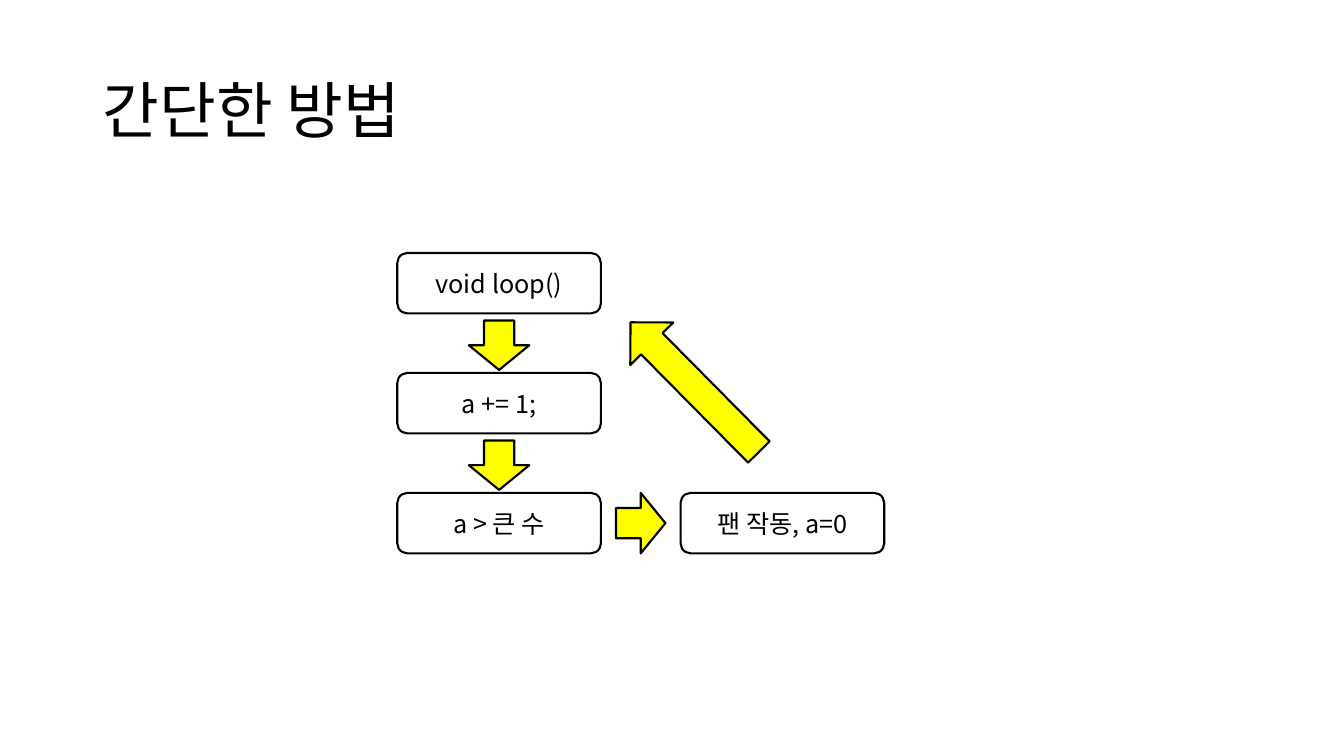
from dataclasses import dataclass

from lxml import etree
from pptx import Presentation
from pptx import util as u
from pptx.dml.color import RGBColor
from pptx.enum import shapes, text
from pptx.oxml.ns import qn

FONT = "Noto Sans CJK KR"
BLACK, WHITE, YELLOW = "000000", "FFFFFF", "FFFF00"
BOX_W, BOX_H = 2.02, 0.6
ARROW_L = 0.49
COL_X, COL_STEP = 3.94, 2.81
ROW_Y, ROW_STEP = 2.51, 1.19


@dataclass
class Step:
    label: str
    col: int
    row: int


@dataclass
class Arrow:
    cx: float
    cy: float
    length: float = ARROW_L
    angle: float = 0


def color(value: str) -> RGBColor:
    return RGBColor.from_string(value)


def format_text(tf, size: float, align) -> None:
    p = tf.paragraphs[0]
    p.alignment = align
    tf.vertical_anchor = text.MSO_ANCHOR.MIDDLE
    for r in p.runs:
        r.font.size = u.Pt(size)
        r.font.name = FONT
        r.font.color.rgb = color(BLACK)
        etree.SubElement(r.font._element, qn("a:ea"), typeface=FONT)


def add_outlined(s, kind, x: float, y: float, w: float, fill: str):
    sp = s.shapes.add_shape(kind, u.Inches(x), u.Inches(y), u.Inches(w), u.Inches(BOX_H))
    sp.shadow.inherit = False
    sp.fill.solid()
    sp.fill.fore_color.rgb = color(fill)
    sp.line.color.rgb = color(BLACK)
    sp.line.width = u.Pt(1.5)
    return sp


def draw_step(s, step: Step) -> None:
    x, y = COL_X + step.col * COL_STEP, ROW_Y + step.row * ROW_STEP
    sp = add_outlined(s, shapes.MSO_SHAPE.ROUNDED_RECTANGLE, x, y, BOX_W, WHITE)
    tf = sp.text_frame
    tf.word_wrap = False
    tf.text = step.label
    format_text(tf, 18, text.PP_ALIGN.CENTER)


def draw_arrow(s, arrow: Arrow) -> None:
    x, y = arrow.cx - arrow.length / 2, arrow.cy - BOX_H / 2
    sp = add_outlined(s, shapes.MSO_SHAPE.RIGHT_ARROW, x, y, arrow.length, YELLOW)
    sp.rotation = arrow.angle


def draw_title(s, title: str) -> None:
    sp = s.shapes.title
    sp.left, sp.top = u.Inches(0.92), u.Inches(0.4)
    sp.width, sp.height = u.Inches(11.5), u.Inches(1.45)
    tf = sp.text_frame
    tf.text = title
    tf.paragraphs[0].line_spacing = 0.9
    format_text(tf, 44, text.PP_ALIGN.LEFT)


def main() -> None:
    prs = Presentation()
    prs.slide_width, prs.slide_height = u.Inches(13.33), u.Inches(7.5)
    s = prs.slides.add_slide(prs.slide_layouts[5])
    draw_title(s, "간단한 방법")

    steps = [
        Step("void loop()", 0, 0),
        Step("a += 1;", 0, 1),
        Step("a > 큰 수", 0, 2),
        Step("팬 작동, a=0", 1, 2),
    ]
    for step in steps:
        draw_step(s, step)

    column_center = COL_X + BOX_W / 2
    row_center = ROW_Y + BOX_H / 2
    arrows = [
        Arrow(column_center, row_center + (row + 0.5) * ROW_STEP + 0.02, angle=90)
        for row in range(2)
    ]
    arrows.append(Arrow(column_center + COL_STEP / 2, row_center + 2 * ROW_STEP))
    arrows.append(Arrow(6.89, 3.84, length=1.81, angle=225.3))
    for arrow in arrows:
        draw_arrow(s, arrow)

    prs.save("out.pptx")


if __name__ == "__main__":
    main()
